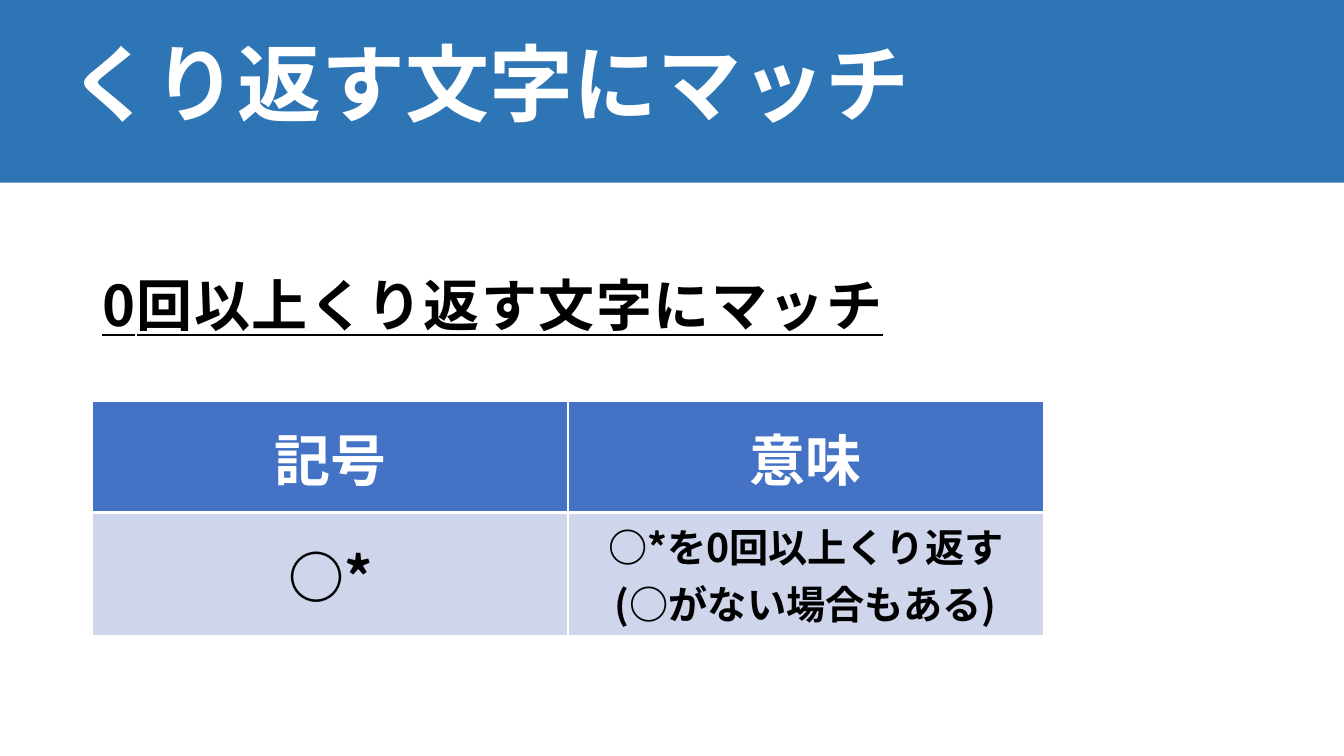
from lxml.etree import SubElement
from pptx import Presentation
from pptx.dml.color import RGBColor
from pptx.enum.shapes import MSO_SHAPE as Shape
from pptx.enum.text import MSO_ANCHOR as Anchor, PP_ALIGN as Align
from pptx.oxml.ns import qn
from pptx.util import Emu, Pt

# Content
TITLE = "くり返す文字にマッチ"
LEAD = "0回以上くり返す文字にマッチ"
ROWS = [
    [("記号", 40), ("意味", 40)],
    [("○*", 40), ("○*を0回以上くり返す\n(○がない場合もある)", 28)],
]

# Look: text colour, cell fill, bottom border width and height (px) of each row
FONT = "Noto Sans CJK JP"
BAND = "2E75B6"
WHITE, BLACK = "FFFFFF", "000000"
ROW_STYLES = [(WHITE, "4472C4", 3, 106), (BLACK, "CFD5EA", 1, 117)]

# Layout in px, 96 to the inch
PAGE_W, PAGE_H = 1280, 720
BAND_H = 174
TITLE_BOX = (57, 15, 1104, 139)
LEAD_BOX = (88, 221, 1104, 457)
TABLE_X, TABLE_Y, COL_W = 88, 382, 453


def px(value):
    return Emu(value * 9525)


def color(code):
    return RGBColor.from_string(code)


def write(frame, text, size, ink, align=Align.LEFT, anchor=Anchor.TOP,
          line=1.0, before=0, underline=False, spacing=0):
    frame.word_wrap = True
    frame.vertical_anchor = anchor
    para = frame.paragraphs[0]
    para.alignment, para.line_spacing = align, line
    para.space_before = Pt(before)
    for index, words in enumerate(text.split("\n")):
        if index:
            para.add_line_break()
        span = para.add_run()
        span.text = words
        font = span.font
        font.name, font.size, font.bold = FONT, Pt(size), True
        font.color.rgb = color(ink)
        props = span._r.get_or_add_rPr()
        props.set("lang", "ja-JP")
        if underline:
            font.underline = True
        if spacing:
            props.set("spc", str(round(spacing * 100)))
        SubElement(props, qn("a:ea")).set("typeface", FONT)


def add_text(page, bounds, text, **look):
    box = page.shapes.add_textbox(*map(px, bounds))
    write(box.text_frame, text, **look)


def border(cell, side, width):
    props = cell._tc.get_or_add_tcPr()
    edge = SubElement(props, qn(f"a:ln{side}"), w=str(Pt(width)))
    fill = SubElement(edge, qn("a:solidFill"))
    SubElement(fill, qn("a:srgbClr"), val=WHITE)


deck = Presentation()
deck.slide_width, deck.slide_height = px(PAGE_W), px(PAGE_H)
page = deck.slides.add_slide(deck.slide_layouts[6])

# Title band
band = page.shapes.add_shape(Shape.RECTANGLE, 0, 0, px(PAGE_W), px(BAND_H))
band.shadow.inherit = False
band.fill.solid()
band.fill.fore_color.rgb = color(BAND)
band.line.fill.background()
add_text(page, TITLE_BOX, TITLE, size=60, ink=WHITE, anchor=Anchor.MIDDLE, line=0.9)

# Lead sentence
add_text(page, LEAD_BOX, LEAD, size=40, ink=BLACK, line=1.5, before=10,
         underline=True, spacing=1.1)

# Symbol table
row_count, col_count = len(ROWS), len(ROWS[0])
table_h = sum(height for *_, height in ROW_STYLES)
table = page.shapes.add_table(row_count, col_count, px(TABLE_X), px(TABLE_Y),
                              px(COL_W * col_count), px(table_h)).table
for r, (row, (ink, fill, bottom, height)) in enumerate(zip(ROWS, ROW_STYLES)):
    table.rows[r].height = px(height)
    top = ROW_STYLES[r - 1][2] if r else 1
    for c, (text, size) in enumerate(row):
        cell = table.cell(r, c)
        for side, width in (("L", 1), ("R", 1), ("T", top), ("B", bottom)):
            border(cell, side, width)
        cell.fill.solid()
        cell.fill.fore_color.rgb = color(fill)
        write(cell.text_frame, text, size, ink, align=Align.CENTER)
        cell.vertical_anchor = Anchor.MIDDLE

deck.save("out.pptx")
